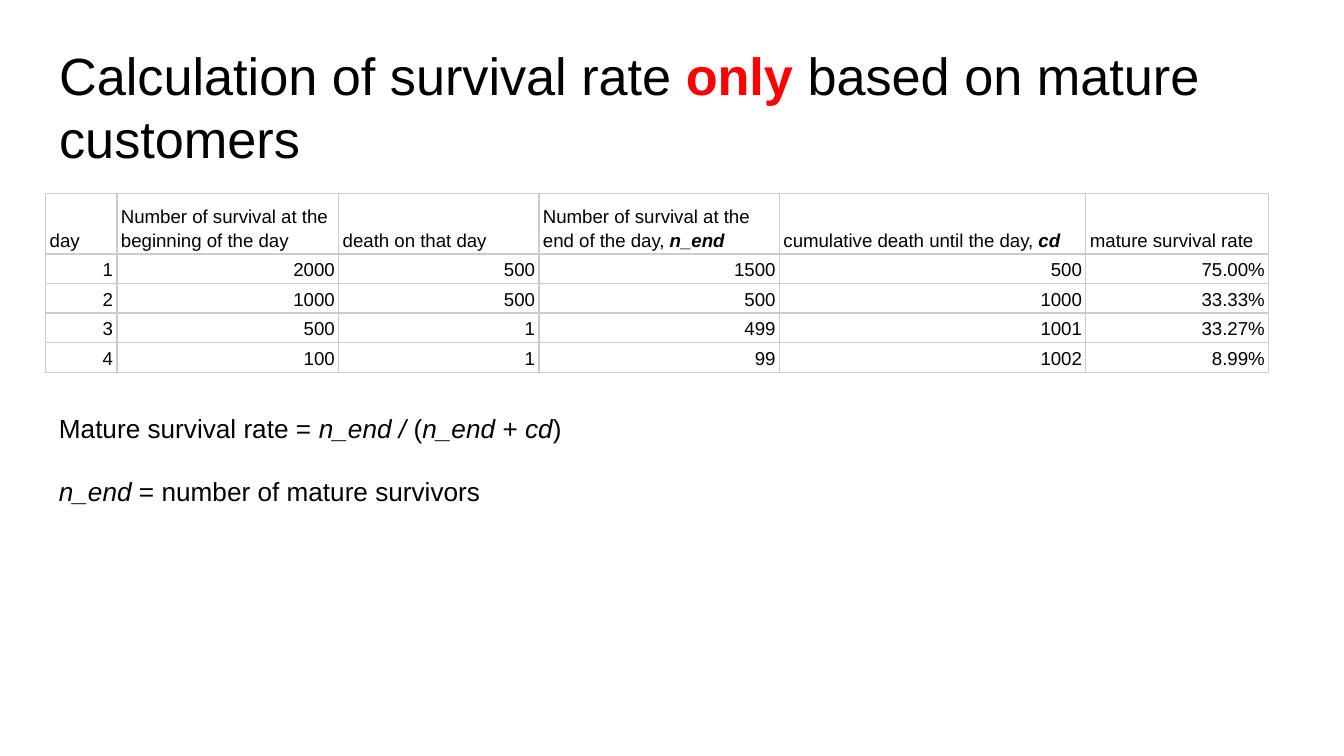
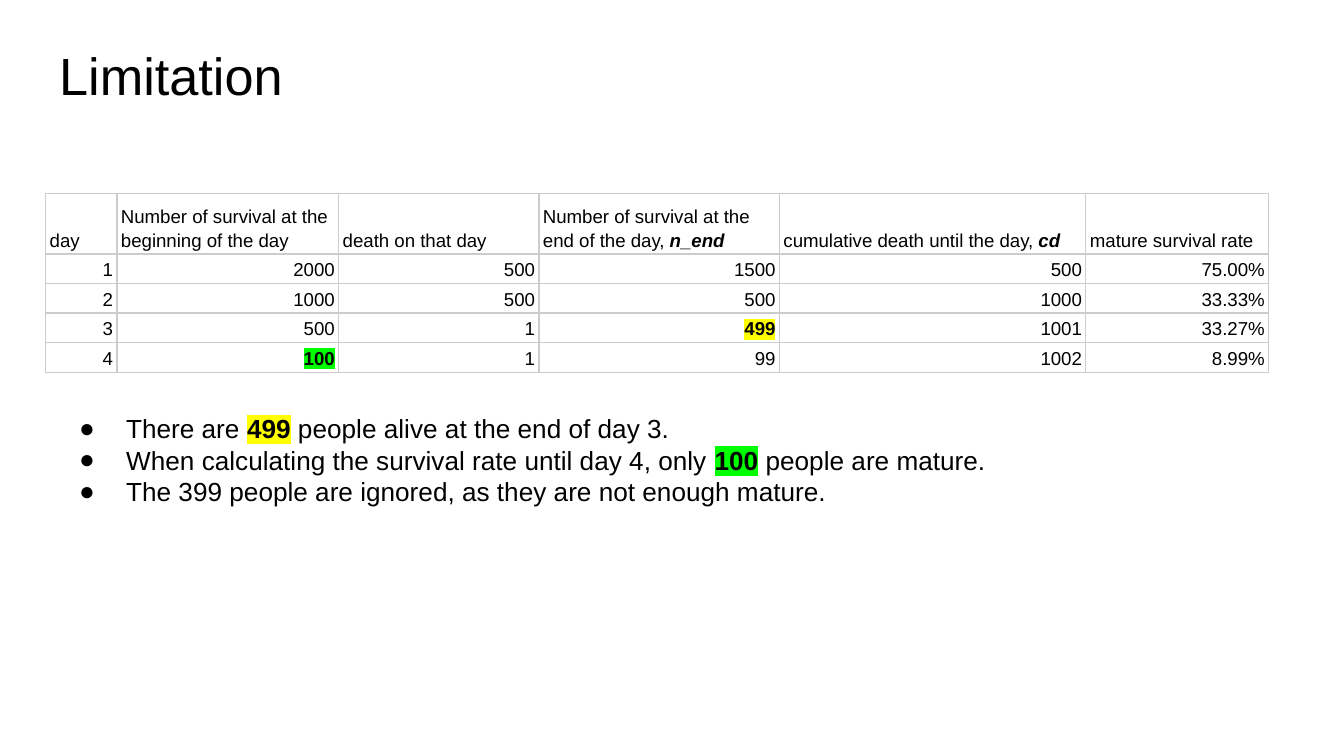
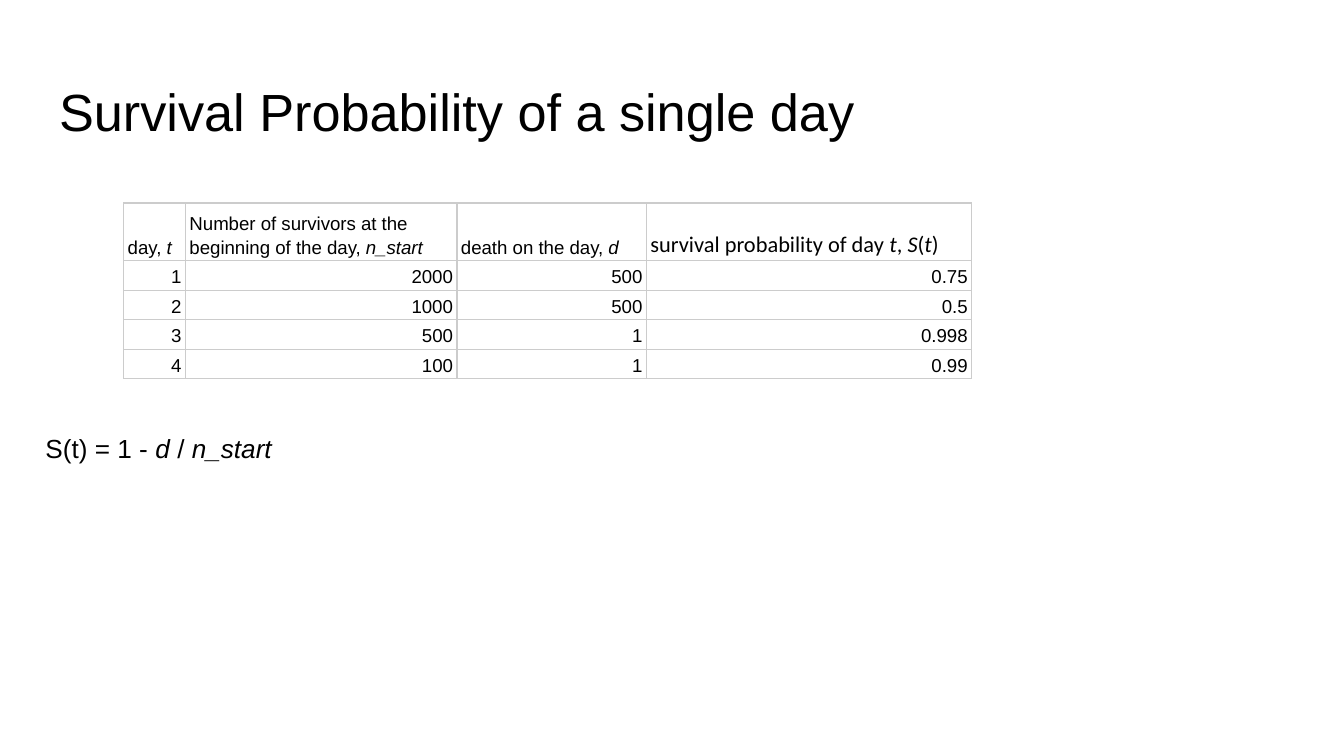
from lxml.etree import SubElement
from pptx import Presentation
from pptx.dml.color import RGBColor
from pptx.enum.text import MSO_ANCHOR, MSO_AUTO_SIZE, PP_ALIGN
from pptx.oxml import parse_xml
from pptx.oxml.ns import nsdecls, qn
from pptx.util import Inches, Pt

COLOURS = {
    "text": "000000",
    "accent": "FF0000",
    "border": "CCCCCC",
    "alive": "FFFF00",
    "mature": "00FF00",
}
FONT = "Arial"
SLIDE_WIDTH = 10
SLIDE_HEIGHT = SLIDE_WIDTH * 9 / 16
MARGIN = 0.34
TITLE_BOX = (MARGIN, 0.22, 9.32, 1.02)
ROW_HEIGHT = 0.22
BORDER_WIDTH = Pt(0.74)
TABLE_SPACING = 1.15

ITALIC = {"italic": True}
STRONG = {"bold": True, "italic": True}
ALIVE = {"bold": True, "highlight": "alive"}
MATURE = {"bold": True, "highlight": "mature"}

RATE_COLUMNS = [0.53, 1.65, 1.49, 1.79, 2.28, 1.36]
RATE_HEADER = [
    "day",
    "Number of survival at the beginning of the day",
    "death on that day",
    ["Number of survival at the end of the day, ", ("n_end", STRONG)],
    ["cumulative death until the day, ", ("cd", STRONG)],
    "mature survival rate",
]
RATE_ROWS = [
    ["1", "2000", "500", "1500", "500", "75.00%"],
    ["2", "1000", "500", "500", "1000", "33.33%"],
    ["3", "500", "1", "499", "1001", "33.27%"],
    ["4", "100", "1", "99", "1002", "8.99%"],
]

FORMULA = {"size": 12, "font": "Calibri"}
FORMULA_ITALIC = {**FORMULA, "italic": True}
DAILY_COLUMNS = [0.46, 2.02, 1.41, 2.42]
DAILY_HEADER = [
    ["day, ", ("t", ITALIC)],
    ["Number of survivors at the beginning of the day, ", ("n_start", ITALIC)],
    ["death on the day, ", ("d", ITALIC)],
    [("survival probability of day ", FORMULA), ("t", FORMULA_ITALIC),
     (",", FORMULA), (" S", FORMULA_ITALIC), ("(", FORMULA),
     ("t", FORMULA_ITALIC), (")", FORMULA)],
]
DAILY_ROWS = [
    ["1", "2000", "500", "0.75"],
    ["2", "1000", "500", "0.5"],
    ["3", "500", "1", "0.998"],
    ["4", "100", "1", "0.99"],
]


def add_run(paragraph, text, size, font=FONT, colour="text", bold=False,
            italic=False, highlight=None):
    """Add one formatted run to a paragraph."""
    run = paragraph.add_run()
    run.text = text
    run.font.size = Pt(size)
    run.font.bold = bold
    run.font.italic = italic
    run.font.color.rgb = RGBColor.from_string(COLOURS[colour])
    if highlight:
        mark = SubElement(run.font._element, qn("a:highlight"))
        SubElement(mark, qn("a:srgbClr")).set("val", COLOURS[highlight])
    run.font.name = font


def add_bullet(paragraph, size):
    """Give a paragraph a hanging round bullet."""
    properties = paragraph._p.get_or_add_pPr()
    properties.set("marL", str(Inches(0.5)))
    properties.set("indent", str(Inches(-0.35)))
    colour = SubElement(properties, qn("a:buClr"))
    SubElement(colour, qn("a:srgbClr")).set("val", COLOURS["text"])
    SubElement(properties, qn("a:buSzPts")).set("val", str(size * 100))
    SubElement(properties, qn("a:buFont")).set("typeface", FONT)
    SubElement(properties, qn("a:buChar")).set("char", "●")


def write_text(frame, paragraphs, size=14, align=PP_ALIGN.LEFT, bullets=False,
               spacing=1.0, gap=0):
    """Fill a text frame; each paragraph is a string or a list of runs."""
    for index, content in enumerate(paragraphs):
        paragraph = frame.add_paragraph() if index else frame.paragraphs[0]
        paragraph.alignment = align
        paragraph.line_spacing = spacing
        paragraph.space_before = Pt(gap if index else 0)
        if bullets:
            add_bullet(paragraph, size)
        for part in [content] if isinstance(content, str) else content:
            text, style = (part, {}) if isinstance(part, str) else part
            add_run(paragraph, text, **{"size": size, **style})


def prepare_frame(frame):
    """Set the wrapping, anchor and insets shared by titles and text."""
    frame.word_wrap = True
    frame.auto_size = MSO_AUTO_SIZE.NONE
    frame.vertical_anchor = MSO_ANCHOR.TOP
    frame.margin_left = frame.margin_right = Inches(0.1)
    frame.margin_top = frame.margin_bottom = Inches(0.1)


def add_titled_slide(presentation, title, box=TITLE_BOX):
    """Add a title-only slide and place its title."""
    slide = presentation.slides.add_slide(presentation.slide_layouts[5])
    shape = slide.shapes.title
    shape.left, shape.top, shape.width, shape.height = map(Inches, box)
    prepare_frame(shape.text_frame)
    write_text(shape.text_frame, [title], size=28)
    return slide


def add_text(slide, box, paragraphs, **style):
    """Add a text box."""
    frame = slide.shapes.add_textbox(*map(Inches, box)).text_frame
    prepare_frame(frame)
    write_text(frame, paragraphs, **style)


def add_borders(cell):
    """Draw a thin line on all four sides of a cell."""
    properties = cell._tc.get_or_add_tcPr()
    for index, side in enumerate(("lnL", "lnR", "lnT", "lnB")):
        properties.insert(index, parse_xml(
            f'<a:{side} {nsdecls("a")} w="{BORDER_WIDTH}"><a:solidFill>'
            f'<a:srgbClr val="{COLOURS["border"]}"/></a:solidFill></a:{side}>'))


def add_grid(slide, left, top, columns, header, rows, header_height,
             marks=None):
    """Add a table; marks maps (row, column) to a run format."""
    marks = marks or {}
    height = header_height + ROW_HEIGHT * len(rows)
    table = slide.shapes.add_table(
        len(rows) + 1, len(columns), Inches(left), Inches(top),
        Inches(sum(columns)), Inches(height)).table
    table.first_row = table.horz_banding = False
    for column, width in zip(table.columns, columns):
        column.width = Inches(width)
    for index, row in enumerate(table.rows):
        row.height = Inches(ROW_HEIGHT if index else header_height)
    for i, values in enumerate([header, *rows]):
        for j, value in enumerate(values):
            cell = table.cell(i, j)
            cell.fill.background()
            cell.vertical_anchor = MSO_ANCHOR.BOTTOM
            cell.margin_left = cell.margin_right = Inches(0.03)
            cell.margin_top = cell.margin_bottom = Inches(0.02)
            content = [(value, marks[i, j])] if (i, j) in marks else value
            write_text(cell.text_frame, [content], size=10,
                       align=PP_ALIGN.RIGHT if i else PP_ALIGN.LEFT,
                       spacing=TABLE_SPACING)
            add_borders(cell)


def add_rate_table(slide, marks=None):
    """Add the table of mature survival rates."""
    add_grid(slide, MARGIN, 1.44, RATE_COLUMNS, RATE_HEADER, RATE_ROWS,
             0.45, marks)


def build_calculation(presentation):
    """Build the slide on the mature survival rate."""
    slide = add_titled_slide(presentation, [
        "Calculation of survival rate ",
        ("only", {"bold": True, "colour": "accent"}),
        " based on mature customers"])
    add_rate_table(slide)
    add_text(slide, (MARGIN, 2.97, 6.86, 1.2), [
        ["Mature survival rate = ", ("n_end / ", ITALIC), "(",
         ("n_end ", ITALIC), "+ ", ("cd", ITALIC), ")"],
        [("n_end", ITALIC), " = number of mature survivors"],
    ], gap=17)


def build_limitation(presentation):
    """Build the slide on the people left out."""
    slide = add_titled_slide(presentation, "Limitation")
    add_rate_table(slide, {(3, 3): ALIVE, (4, 1): MATURE})
    add_text(slide, (MARGIN, 2.97, 8.55, 1.2), [
        ["There are ", ("499", ALIVE), " people alive at the end of day 3."],
        ["When calculating the survival rate until day 4, only ",
         ("100", MATURE), " people are mature."],
        "The 399 people are ignored, as they are not enough mature.",
    ], bullets=True)


def build_single_day(presentation):
    """Build the slide on the daily survival probability."""
    slide = add_titled_slide(presentation,
                             "Survival Probability of a single day",
                             (MARGIN, 0.49, 9.32, 0.63))
    add_text(slide, (0.24, 3.12, 7.23, 0.41), [
        ["S(t) = 1 - ", ("d ", ITALIC), "/ ", ("n_start ", ITALIC)]])
    add_grid(slide, 0.92, 1.51, DAILY_COLUMNS, DAILY_HEADER, DAILY_ROWS, 0.43)


def main():
    """Build and save the presentation."""
    presentation = Presentation()
    presentation.slide_width = Inches(SLIDE_WIDTH)
    presentation.slide_height = Inches(SLIDE_HEIGHT)
    build_calculation(presentation)
    build_limitation(presentation)
    build_single_day(presentation)
    presentation.save("out.pptx")


main()
